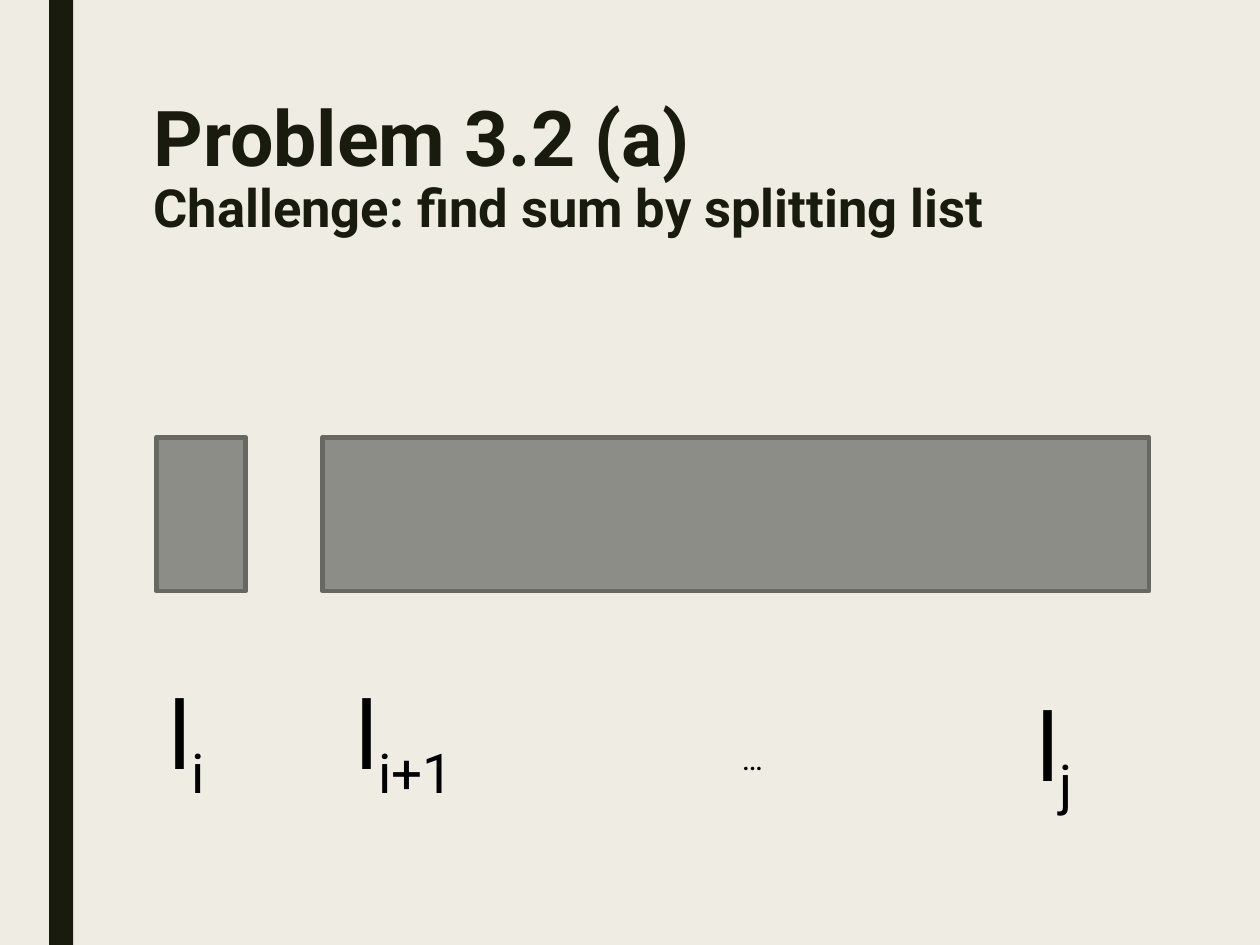
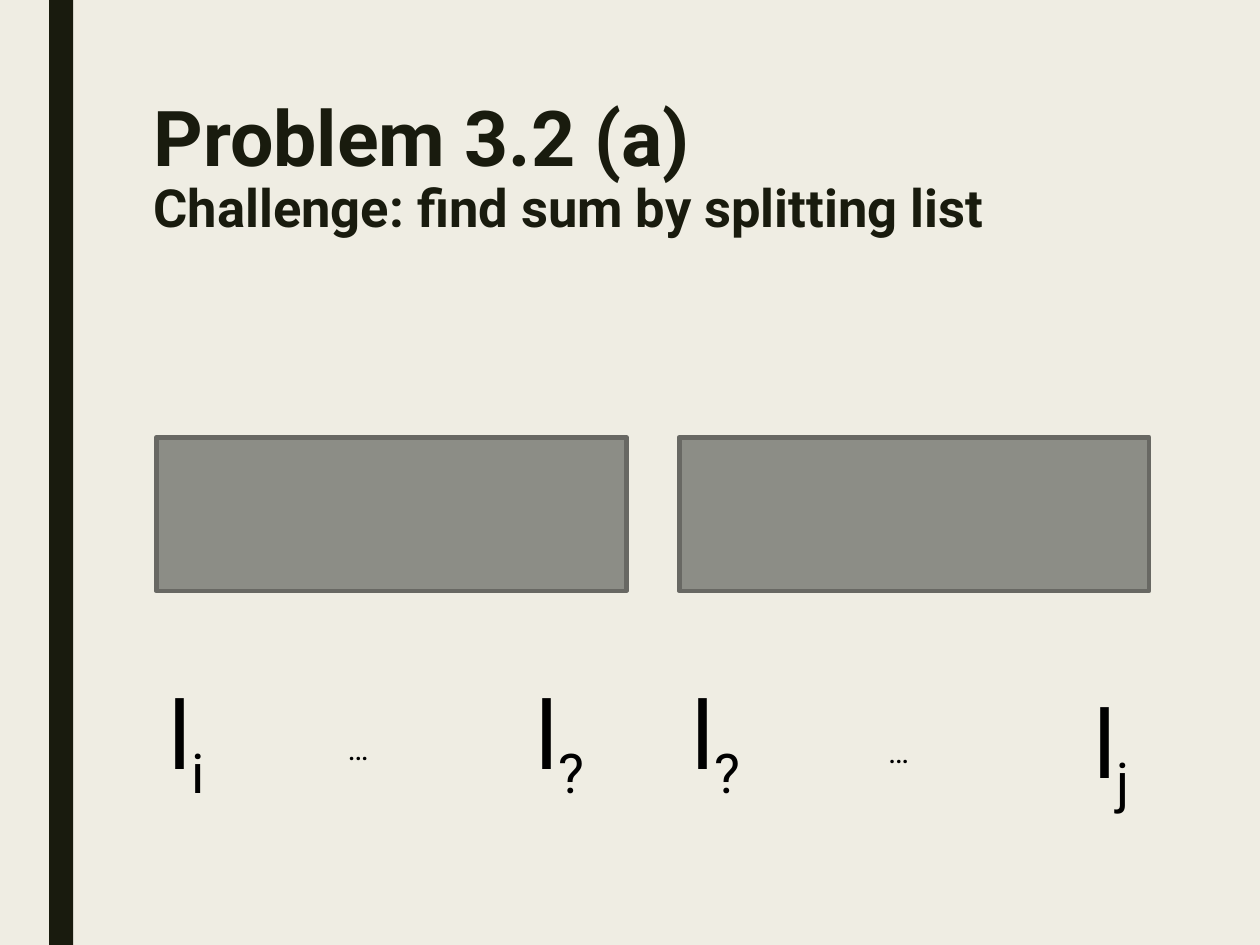
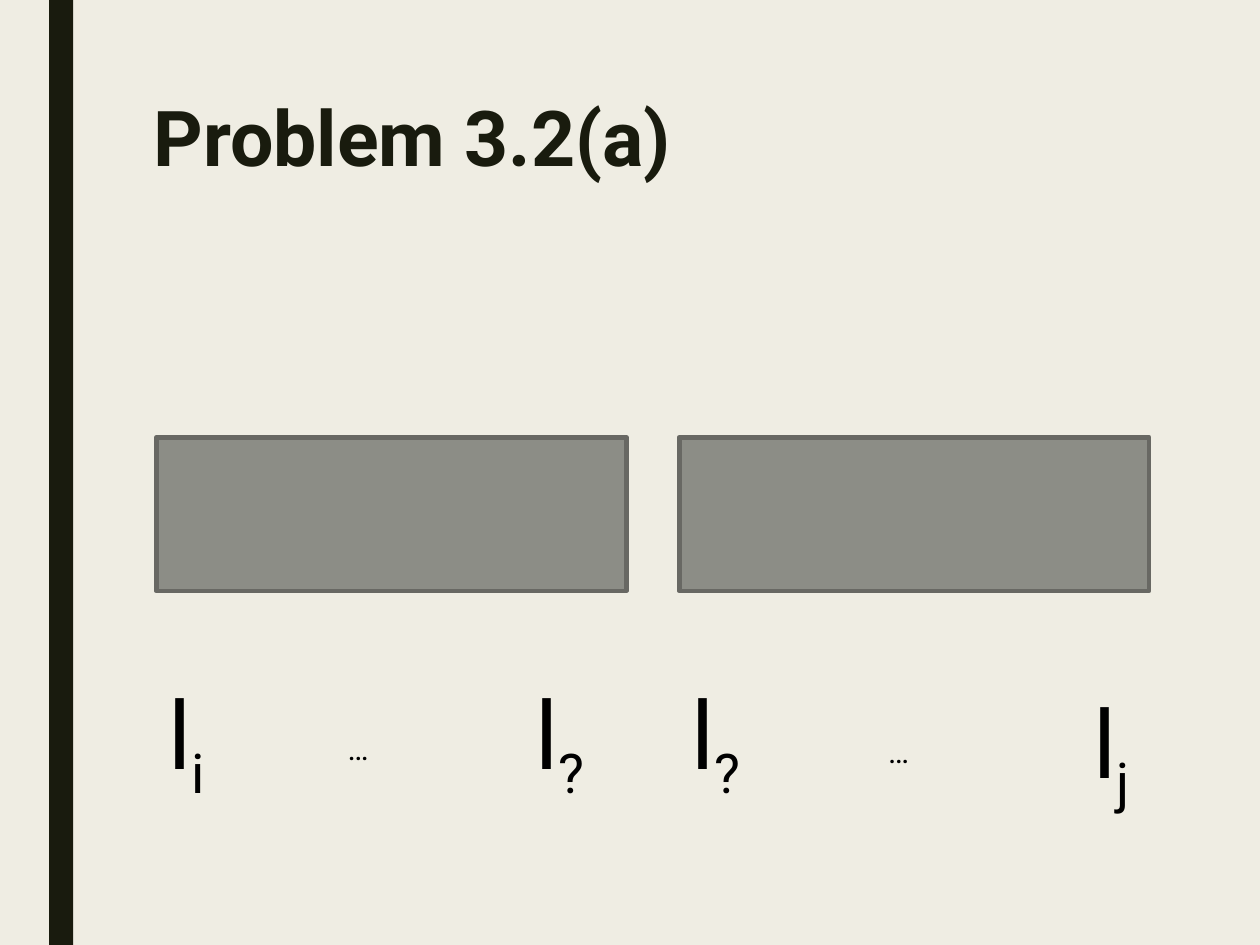
from dataclasses import dataclass

from pptx import Presentation
from pptx.dml.color import RGBColor
from pptx.enum.shapes import MSO_SHAPE
from pptx.enum.text import MSO_ANCHOR, MSO_AUTO_SIZE
from pptx.slide import Slide
from pptx.text.text import Font
from pptx.util import Inches, Pt

RECTANGLE = MSO_SHAPE.RECTANGLE
TOP = MSO_ANCHOR.TOP
FIT_SHAPE = MSO_AUTO_SIZE.SHAPE_TO_FIT_TEXT

FONT = "Roboto"
CREAM = "EFEDE3"
DARK = "191B0E"
GRAY = "8C8D86"
EDGE = "686863"
BLACK = "000000"

SLIDE_WIDTH, SLIDE_HEIGHT = 10, 7.5
LIST_LEFT, LIST_RIGHT = 1.24, 9.12
LIST_TOP, LIST_HEIGHT = 3.47, 1.22
LABEL_TOP = 5.31
HALF_GAP = 0.42
HALF_WIDTH = (LIST_RIGHT - LIST_LEFT - HALF_GAP) / 2
RIGHT_HALF_LEFT = LIST_RIGHT - HALF_WIDTH


@dataclass(frozen=True)
class Sublist:
    left: float
    width: float


@dataclass(frozen=True)
class Item:
    subscript: str
    left: float
    width: float
    top: float = LABEL_TOP


@dataclass(frozen=True)
class Ellipsis:
    left: float
    top: float


@dataclass(frozen=True)
class Split:
    sublists: tuple[Sublist, ...]
    items: tuple[Item, ...]
    ellipses: tuple[Ellipsis, ...]


FIRST_ITEM = Item("i", LIST_LEFT, 0.49)

HEAD_AND_REST = Split(
    (Sublist(LIST_LEFT, 0.71), Sublist(2.56, LIST_RIGHT - 2.56)),
    (FIRST_ITEM, Item("i+1", 2.72, 1), Item("j", 8.13, 0.5, 5.4)),
    (Ellipsis(5.79, 5.82),),
)
HALVES = Split(
    (Sublist(LIST_LEFT, HALF_WIDTH), Sublist(RIGHT_HALF_LEFT, HALF_WIDTH)),
    (
        FIRST_ITEM,
        Item("?", 4.15, 0.61),
        Item("?", RIGHT_HALF_LEFT, 0.61),
        Item("j", 8.58, 0.5, 5.38),
    ),
    (Ellipsis(2.66, 5.74), Ellipsis(6.95, 5.76)),
)

CHALLENGE = "Challenge: find sum by splitting list"
SLIDES = (
    ("Problem 3.2 (a)", CHALLENGE, HEAD_AND_REST),
    ("Problem 3.2 (a)", CHALLENGE, HALVES),
    ("Problem 3.2(a)", "", HALVES),
)


def rgb(color: str) -> RGBColor:
    return RGBColor.from_string(color)


def style_font(font: Font, size: float, color: str, bold: bool = False) -> None:
    font.name = FONT
    font.size = Pt(size)
    font.color.rgb = rgb(color)
    font.bold = bold


def add_bar(slide: Slide, left: float, top: float, width: float, height: float,
            fill: str, edge: str = "") -> None:
    bar = slide.shapes.add_shape(
        RECTANGLE, Inches(left), Inches(top), Inches(width), Inches(height))
    bar.shadow.inherit = False
    bar.fill.solid()
    bar.fill.fore_color.rgb = rgb(fill)
    if edge:
        bar.line.color.rgb = rgb(edge)
        bar.line.width = Pt(2.75)
    else:
        bar.line.fill.background()


def add_title(slide: Slide, title: str, subtitle: str) -> None:
    frame = slide.shapes.add_textbox(
        Inches(1.12), Inches(0.75), Inches(7.88), Inches(1.62)).text_frame
    frame.word_wrap = True
    frame.vertical_anchor = TOP
    heading = frame.paragraphs[0]
    heading.line_spacing = 0.89
    style_font(heading.font, 44, DARK, bold=True)
    heading.add_run().text = title
    if subtitle:
        heading.add_line_break()
        challenge = heading.add_run()
        challenge.text = subtitle
        challenge.font.size = Pt(30)


def add_label(slide: Slide, left: float, top: float, width: float, height: float,
              size: float, text: str, subscript: str = "") -> None:
    frame = slide.shapes.add_textbox(
        Inches(left), Inches(top), Inches(width), Inches(height)).text_frame
    frame.word_wrap = False
    frame.auto_size = FIT_SHAPE
    label = frame.paragraphs[0]
    style_font(label.font, size, BLACK)
    label.add_run().text = text
    if subscript:
        index = label.add_run()
        index.text = subscript
        index._r.get_or_add_rPr().set("baseline", "-25000")


def add_split(slide: Slide, split: Split) -> None:
    for sublist in split.sublists:
        add_bar(slide, sublist.left, LIST_TOP, sublist.width, LIST_HEIGHT, GRAY, EDGE)
    for item in split.items:
        add_label(slide, item.left, item.top, item.width, 1.01, 54, "l", item.subscript)
    for ellipsis in split.ellipses:
        add_label(slide, ellipsis.left, ellipsis.top, 0.38, 0.4, 18, "…")


def main() -> None:
    deck = Presentation()
    deck.slide_width = Inches(SLIDE_WIDTH)
    deck.slide_height = Inches(SLIDE_HEIGHT)
    backdrop = deck.slide_master.background.fill
    backdrop.solid()
    backdrop.fore_color.rgb = rgb(CREAM)
    for title, subtitle, split in SLIDES:
        slide = deck.slides.add_slide(deck.slide_layouts[6])
        add_bar(slide, 0.39, 0, 0.19, SLIDE_HEIGHT, DARK)
        add_title(slide, title, subtitle)
        add_split(slide, split)
    deck.save("out.pptx")


if __name__ == "__main__":
    main()
